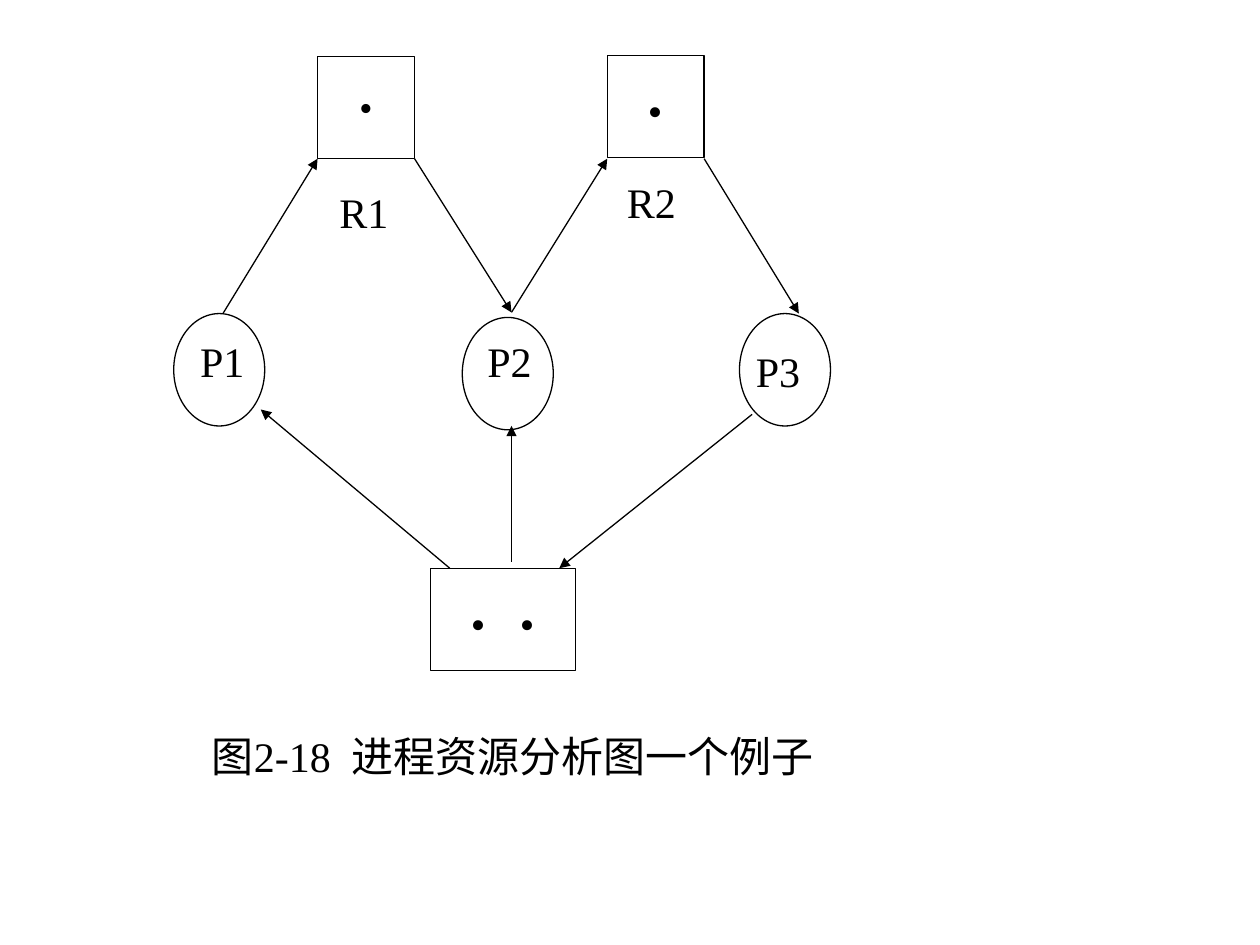
from lxml.etree import SubElement
from pptx import Presentation
from pptx.dml.color import RGBColor
from pptx.enum.shapes import MSO_CONNECTOR, MSO_SHAPE
from pptx.enum.text import MSO_ANCHOR, PP_ALIGN
from pptx.oxml.ns import qn
from pptx.util import Pt

COLORS = {"ink": "000000", "paper": "FFFFFF"}
FONT = "Times New Roman"
BOX_H = 58.3
CIRCLE_W, CIRCLE_H = 52, 64.2

# Positions are relative to the top left of the graph.
RESOURCES = [  # left, top, width, dots, dot size
    (82.5, 1.3, 55.4, "·", 44),
    (248, 0.6, 55.4, "·", 48),
    (147.2, 293.7, 82.8, "· ·", 48),
]
PROCESSES = [  # name, left, top, label shift right, label shift down
    ("P1", 0.3, 148.2, 0, 11.6),
    ("P2", 165.2, 150.4, -0.7, 9.4),
    ("P3", 323.6, 148.2, -5.7, 17.3),
]
RESOURCE_NAMES = [("R1", 91, 74.8), ("R2", 255.2, 69)]
ARROWS = [
    (28.4, 148.2, 82.5, 59.7),
    (137.9, 59.7, 193.3, 147.5),
    (193.3, 147.5, 248, 59.7),
    (303.4, 59.7, 357.5, 148.2),
    (158, 293.7, 50, 203),
    (193.3, 290.1, 193.3, 212.3),
    (330.8, 205.8, 220.6, 293.7),
]


def color(name):
    return RGBColor.from_string(COLORS[name])


def write(shape, text, size=24, anchor=MSO_ANCHOR.TOP):
    tf = shape.text_frame
    tf.word_wrap = True
    tf.vertical_anchor = anchor
    tf.margin_left = tf.margin_right = Pt(1.5)
    tf.margin_top = tf.margin_bottom = Pt(0.75)
    p = tf.paragraphs[0]
    p.alignment = PP_ALIGN.CENTER
    r = p.add_run()
    r.text = text
    r.font.name = FONT
    r.font.size = Pt(size)
    r.font.color.rgb = color("ink")


def add_label(s, text, x, y, w, h, anchor=MSO_ANCHOR.TOP):
    write(s.shapes.add_textbox(Pt(x), Pt(y), Pt(w), Pt(h)), text, anchor=anchor)


def add_node(s, kind, x, y, w, h):
    sp = s.shapes.add_shape(kind, Pt(x), Pt(y), Pt(w), Pt(h))
    sp.shadow.inherit = False
    sp.fill.background()
    sp.line.color.rgb = color("ink")
    sp.line.width = Pt(0.75)
    return sp


def add_arrow(s, x1, y1, x2, y2):
    c = s.shapes.add_connector(MSO_CONNECTOR.STRAIGHT, Pt(x1), Pt(y1), Pt(x2), Pt(y2))
    c.line.color.rgb = color("ink")
    c.line.width = Pt(0.75)
    SubElement(c.line._get_or_add_ln(), qn("a:tailEnd"), type="triangle")
    SubElement(c._element.spPr, qn("a:effectLst"))


def add_graph(s, left, top):
    for x, y, w, dots, size in RESOURCES:
        box = add_node(s, MSO_SHAPE.RECTANGLE, left + x, top + y, w, BOX_H)
        box.fill.solid()
        box.fill.fore_color.rgb = color("paper")
        write(box, dots, size)
    for name, x, y, dx, dy in PROCESSES:
        add_label(s, name, left + x + dx, top + y + dy, 55.4, BOX_H)
        add_node(s, MSO_SHAPE.OVAL, left + x, top + y, CIRCLE_W, CIRCLE_H)
    for x1, y1, x2, y2 in ARROWS:
        add_arrow(s, left + x1, top + y1, left + x2, top + y2)
    for name, x, y in RESOURCE_NAMES:
        add_label(s, name, left + x, top + y, 36, 39.6)


def main():
    prs = Presentation()
    prs.slide_width, prs.slide_height = Pt(720), Pt(540)
    s = prs.slides.add_slide(prs.slide_layouts[6])
    add_graph(s, 99, 31)
    add_label(s, "图2-18  进程资源分析图一个例子", 108, 414, 370, 36, MSO_ANCHOR.MIDDLE)
    prs.save("out.pptx")


if __name__ == "__main__":
    main()
